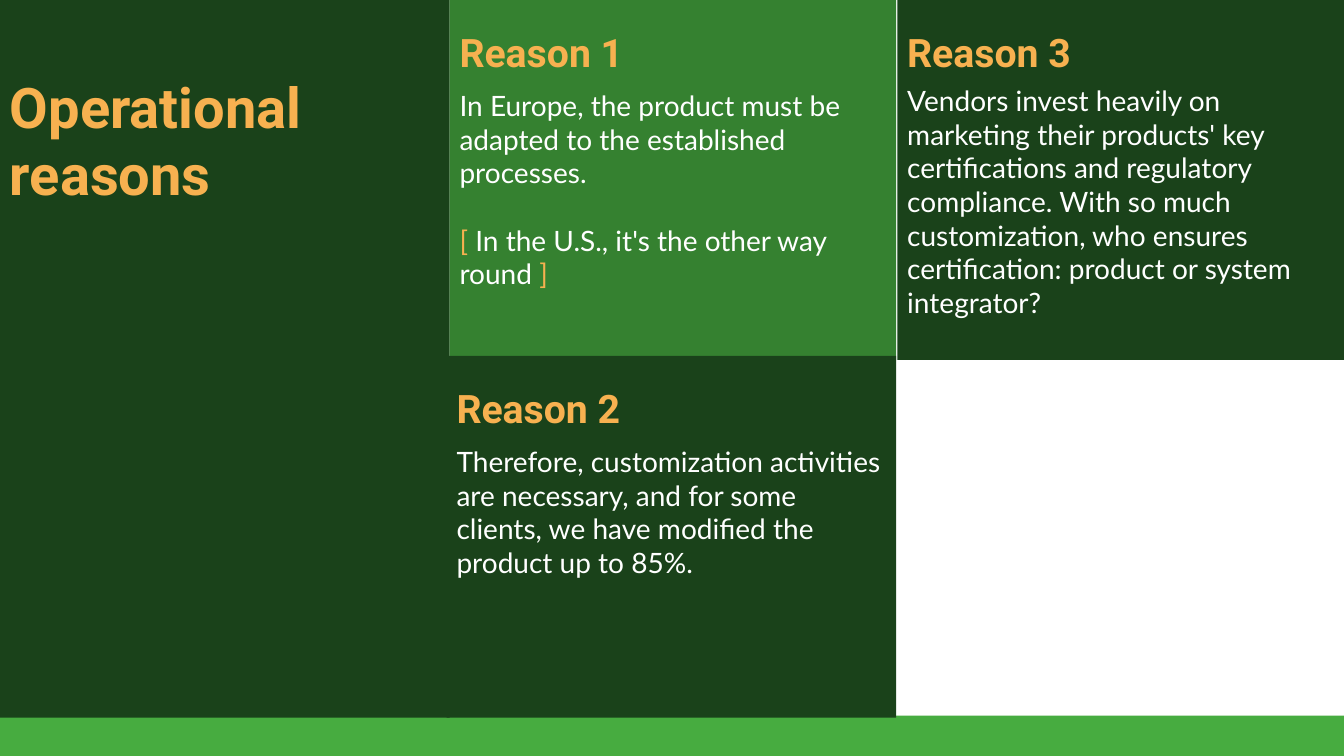
"""Build a slide of green panels giving three operational reasons."""
import pptx
import pptx.dml.color
import pptx.enum.shapes
import pptx.enum.text
import pptx.util

DARK = pptx.dml.color.RGBColor(0x1A, 0x42, 0x1A)
MIDDLE = pptx.dml.color.RGBColor(0x35, 0x81, 0x30)
BRIGHT = pptx.dml.color.RGBColor(0x47, 0xAC, 0x40)
ORANGE = pptx.dml.color.RGBColor(0xF7, 0xB1, 0x50)
WHITE = pptx.dml.color.RGBColor(0xFF, 0xFF, 0xFF)

WIDTH, HEIGHT = 13.33, 7.5
COLUMN, ROW = 4.43, 3.57
SEAM = 0.03
BAR = 0.4
PANEL_BOTTOM = HEIGHT - BAR + 0.02
LOWER_TOP = PANEL_BOTTOM - ROW - 0.02

deck = pptx.Presentation()
deck.slide_width = pptx.util.Inches(WIDTH)
deck.slide_height = pptx.util.Inches(HEIGHT)
page = deck.slides.add_slide(deck.slide_layouts[6])


def add_panel(left, top, width, height, color):
    box = page.shapes.add_shape(
        pptx.enum.shapes.MSO_SHAPE.RECTANGLE,
        *(pptx.util.Inches(length) for length in (left, top, width, height)))
    box.shadow.inherit = False
    box.fill.solid()
    box.fill.fore_color.rgb = color
    box.line.fill.background()
    return box


def write_paragraph(para, spans, font, size, bold=False, before=0):
    para.alignment = pptx.enum.text.PP_ALIGN.LEFT
    para.space_before = pptx.util.Pt(before)
    para.font.name = font
    para.font.size = pptx.util.Pt(size)
    para.font.bold = bold
    for text, color in spans:
        span = para.add_run()
        span.text = text
        span.font.color.rgb = color


add_panel(0, HEIGHT - BAR, WIDTH, BAR, BRIGHT)

panels = [
    ((0, 0, COLUMN + SEAM, PANEL_BOTTOM), DARK, "Operational reasons", 40, 0.72, []),
    ((COLUMN + SEAM, 0, COLUMN, ROW), MIDDLE, "Reason 1", 28, 0.28, [
        (9.6, [("In Europe, the product must be adapted to the established processes.", WHITE)]),
        (24, [("[ ", ORANGE), ("In the U.S., it's the other way round ", WHITE), ("]", ORANGE)]),
    ]),
    ((COLUMN, LOWER_TOP, COLUMN + SEAM, PANEL_BOTTOM - LOWER_TOP), DARK, "Reason 2", 28, 0.28, [
        (9.6, [("Therefore, customization activities are necessary, and for some clients, "
                "we have modified the product up to 85%.", WHITE)]),
    ]),
    ((WIDTH - COLUMN, 0, COLUMN, ROW), DARK, "Reason 3", 28, 0.28, [
        (6, [("Vendors invest heavily on marketing their products' key certifications and "
              "regulatory compliance. With so much customization, who ensures certification: "
              "product or system integrator?", WHITE)]),
    ]),
]

for area, color, heading, size, inset, paragraphs in panels:
    frame = add_panel(*area, color).text_frame
    frame.word_wrap = True
    frame.vertical_anchor = pptx.enum.text.MSO_ANCHOR.TOP
    frame.margin_top = pptx.util.Inches(inset)
    write_paragraph(frame.paragraphs[0], [(heading, ORANGE)], "Roboto", size, bold=True)
    for before, spans in paragraphs:
        write_paragraph(frame.add_paragraph(), spans, "Lato", 20, before=before)

deck.save("out.pptx")
